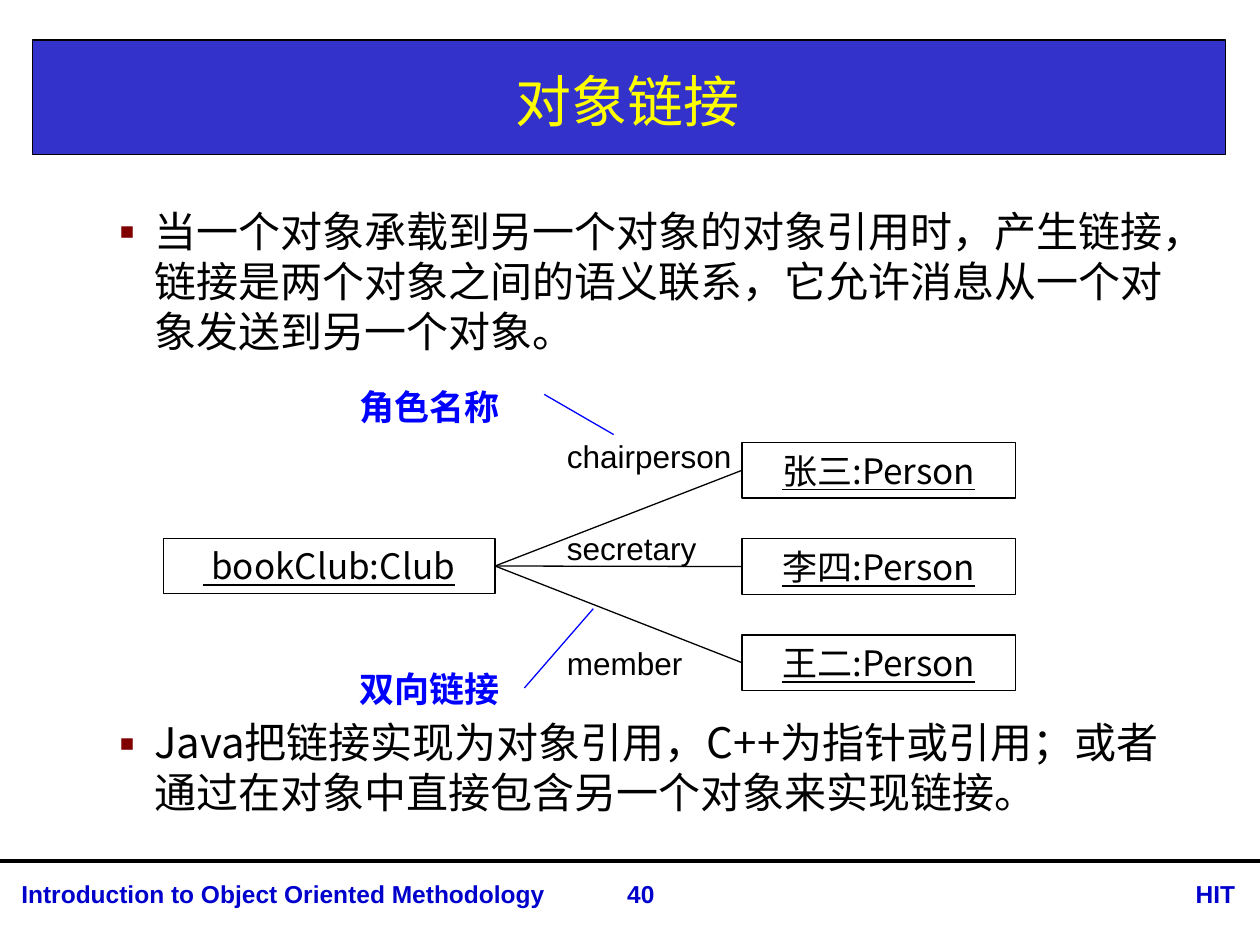
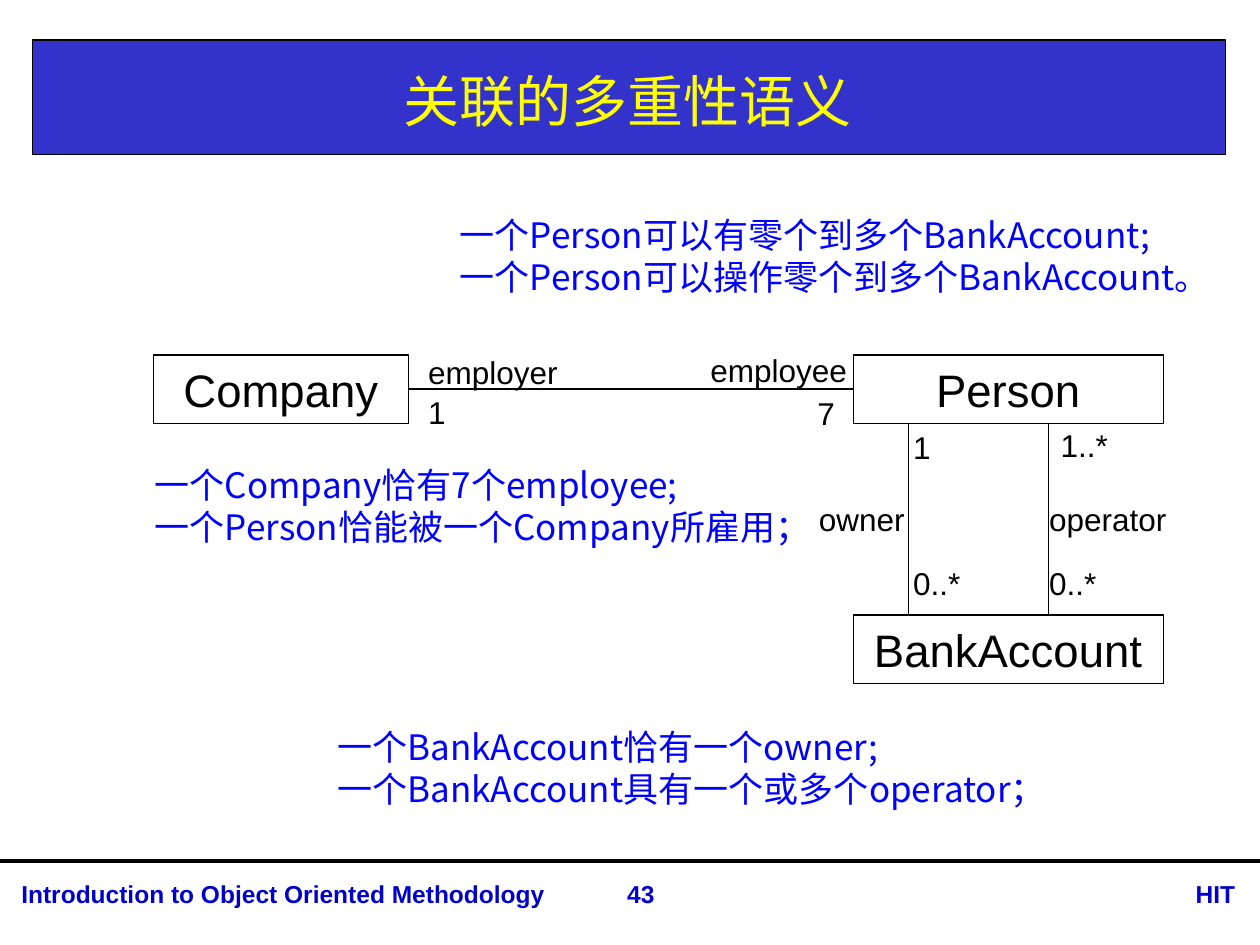
from lxml import etree
from pptx import Presentation
from pptx.dml.color import RGBColor
from pptx.enum.shapes import MSO_CONNECTOR as Connector, MSO_SHAPE as Shape
from pptx.enum.text import MSO_ANCHOR as Anchor, PP_ALIGN as Align
from pptx.oxml.ns import qn
from pptx.util import Cm, Pt

LATIN = "Arial"
CJK = "Noto Sans CJK SC"
BLACK, WHITE, BLUE = "000000", "FFFFFF", "0000FF"
BAND, TITLE, FOOTER, BULLET = "3333CC", "FFFF00", "0000CC", "800000"
TOP, LEFT, RIGHT = 0, 1, 3


def rgb(value):
    return RGBColor.from_string(value)


def write(frame, lines, size, color=BLACK, face=LATIN, align=Align.LEFT,
          bold=False, underline=False, leading=None, bullet=False):
    frame.word_wrap = True
    for index, line in enumerate(lines):
        paragraph = frame.paragraphs[0] if index == 0 else frame.add_paragraph()
        paragraph.text = line
        paragraph.alignment = align
        if leading:
            paragraph.line_spacing = Pt(leading)
        if bullet:
            add_bullet(paragraph)
        font = paragraph.font
        font.name, font.size = face, Pt(size)
        font.bold, font.underline = bold, underline
        font.color.rgb = rgb(color)
        defaults = paragraph._p.pPr.find(qn("a:defRPr"))
        etree.SubElement(defaults, qn("a:ea"), typeface=CJK)


def add_bullet(paragraph):
    properties = paragraph._p.get_or_add_pPr()
    properties.set("marL", str(Cm(0.96)))
    properties.set("indent", str(Cm(-0.96)))
    tint = etree.SubElement(properties, qn("a:buClr"))
    etree.SubElement(tint, qn("a:srgbClr"), val=BULLET)
    etree.SubElement(properties, qn("a:buFont"), typeface=CJK)
    etree.SubElement(properties, qn("a:buChar"), char="▪")


def add_text(slide, lines, left, top, width, height, size,
             anchor=Anchor.TOP, **style):
    box = slide.shapes.add_textbox(Cm(left), Cm(top), Cm(width), Cm(height))
    box.text_frame.vertical_anchor = anchor
    write(box.text_frame, lines, size, **style)


def add_box(slide, left, top, width, height, fill=WHITE):
    box = slide.shapes.add_shape(Shape.RECTANGLE, Cm(left), Cm(top),
                                 Cm(width), Cm(height))
    box.shadow.inherit = False
    box.fill.solid()
    box.fill.fore_color.rgb = rgb(fill)
    box.line.color.rgb = rgb(BLACK)
    box.line.width = Pt(0.75)
    return box


def add_node(slide, name, left, top, width, height, size, **style):
    node = add_box(slide, left, top, width, height)
    node.text_frame.vertical_anchor = Anchor.MIDDLE
    write(node.text_frame, [name], size, align=Align.CENTER, **style)
    return node


def add_line(slide, x1, y1, x2, y2, color=BLACK, weight=0.75):
    line = slide.shapes.add_connector(Connector.STRAIGHT, Cm(x1), Cm(y1),
                                      Cm(x2), Cm(y2))
    line.line.color.rgb = rgb(color)
    line.line.width = Pt(weight)
    etree.SubElement(line._element.spPr, qn("a:effectLst"))
    return line


def link(slide, source, target, weight=0.75):
    line = add_line(slide, 0, 0, 1, 1, weight=weight)
    line.begin_connect(source, RIGHT)
    line.end_connect(target, LEFT)


def add_label(slide, name, left, top, width):
    add_text(slide, [name], left, top, width, 1.02, 18)


def add_note(slide, lines, left, top, width):
    add_text(slide, lines, left, top, width, 1.96, 20, color=BLUE, face=CJK,
             leading=24)


def add_point(slide, sentence, top, height):
    add_text(slide, [sentence], 1.9, top, 22, height, 24, face=CJK,
             leading=28.6, bullet=True)


def add_callout(slide, name, top, pointer):
    add_text(slide, [name], 6.99, top, 4.19, 1.09, 20, color=BLUE, bold=True,
             leading=24)
    add_line(slide, *pointer, color=BLUE)


def start_slide(deck, title, number):
    slide = deck.slides.add_slide(deck.slide_layouts[6])
    add_box(slide, 0.66, 0.81, 24.05, 2.31, BAND)
    add_line(slide, 0, 17.35, 25.4, 17.35, weight=2.25)
    footers = [
        ("Introduction to Object Oriented Methodology", 0.18, 11.76, Align.LEFT),
        ("HIT", 22.53, 2.62, Align.RIGHT),
        (str(number), 11.61, 2.62, Align.CENTER),
    ]
    for wording, left, width, align in footers:
        add_text(slide, [wording], left, 17.6, width, 0.86, 14, color=FOOTER,
                 bold=True, align=align)
    add_text(slide, [title], 0.66, 0.91, 24, 2.21, 32, anchor=Anchor.MIDDLE,
             color=TITLE, face=CJK, align=Align.CENTER)
    return slide


def build_links(deck):
    slide = start_slide(deck, "对象链接", 40)
    add_point(slide, "当一个对象承载到另一个对象的对象引用时，产生链接，链接是两个对象"
              "之间的语义联系，它允许消息从一个对象发送到另一个对象。", 4.02, 3.3)
    add_point(slide, "Java把链接实现为对象引用，C++为指针或引用；或者通过在对象中"
              "直接包含另一个对象来实现链接。", 14.33, 2.6)
    club = add_node(slide, " bookClub:Club", 3.3, 10.85, 6.68, 1.12, 20,
                    face=CJK, underline=True)
    members = [("张三", "chairperson", 8.69), ("李四", "secretary", 10.54),
               ("王二", "member", 12.85)]
    for row, (name, role, role_top) in enumerate(members):
        person = add_node(slide, f"{name}:Person", 14.96, 8.92 + 1.94 * row,
                          5.51, 1.12, 20, face=CJK, underline=True)
        link(slide, club, person)
        add_label(slide, role, 11.18, role_top, 4.19)
    add_callout(slide, "角色名称", 7.65, (10.97, 7.95, 12.37, 8.76))
    add_callout(slide, "双向链接", 13.34, (10.57, 13.87, 11.96, 12.27))


def build_multiplicity(deck):
    slide = start_slide(deck, "关联的多重性语义", 43)
    company = add_node(slide, "Company", 3.1, 7.16, 5.13, 1.38, 26)
    person = add_node(slide, "Person", 17.2, 7.16, 6.25, 1.38, 26)
    add_node(slide, "BankAccount", 17.2, 12.4, 6.25, 1.38, 26)
    link(slide, company, person, weight=1)
    for x in (18.31, 21.13):
        add_line(slide, x, 8.54, x, 12.4)
    labels = [
        ("employer", 8.38, 6.99, 3.18), ("1", 8.38, 7.8, 1.07),
        ("employee", 14.07, 6.96, 3.38), ("7", 16.23, 7.82, 1.07),
        ("1", 18.16, 8.51, 1.07), ("1..*", 21.13, 8.46, 1.7),
        ("owner", 16.26, 9.96, 2.34), ("operator", 20.9, 9.96, 3.38),
        ("0..*", 18.16, 11.25, 1.7), ("0..*", 20.9, 11.25, 1.7),
    ]
    for label in labels:
        add_label(slide, *label)
    add_note(slide, ["一个Company恰有7个employee;",
                     "一个Person恰能被一个Company所雇用；"], 2.87, 9.22, 13.54)
    add_note(slide, ["一个BankAccount恰有一个owner;",
                     "一个BankAccount具有一个或多个operator；"], 6.55, 14.51, 18.11)
    add_note(slide, ["一个Person可以有零个到多个BankAccount;",
                     "一个Person可以操作零个到多个BankAccount。"], 9.02, 4.17, 16.36)


def main():
    deck = Presentation()
    deck.slide_width, deck.slide_height = Cm(25.4), Cm(19.05)
    build_links(deck)
    build_multiplicity(deck)
    deck.save("out.pptx")


if __name__ == "__main__":
    main()
